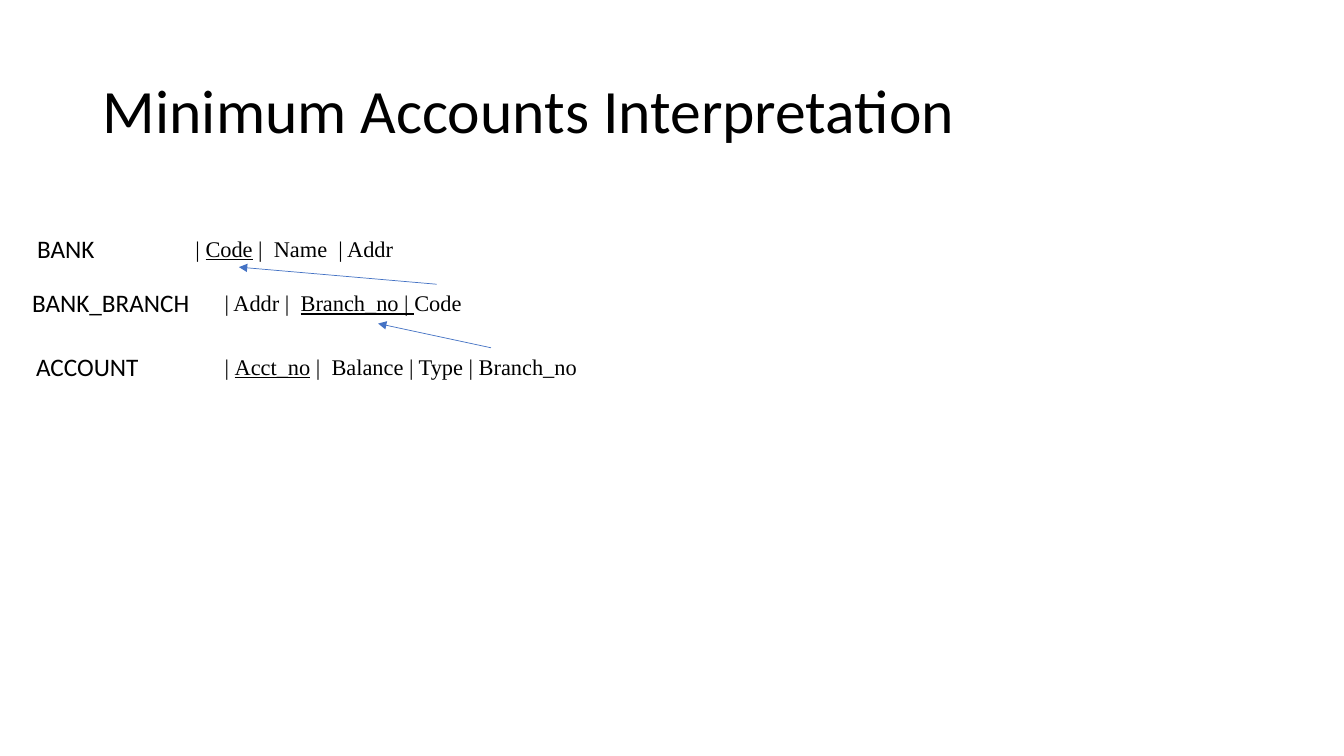
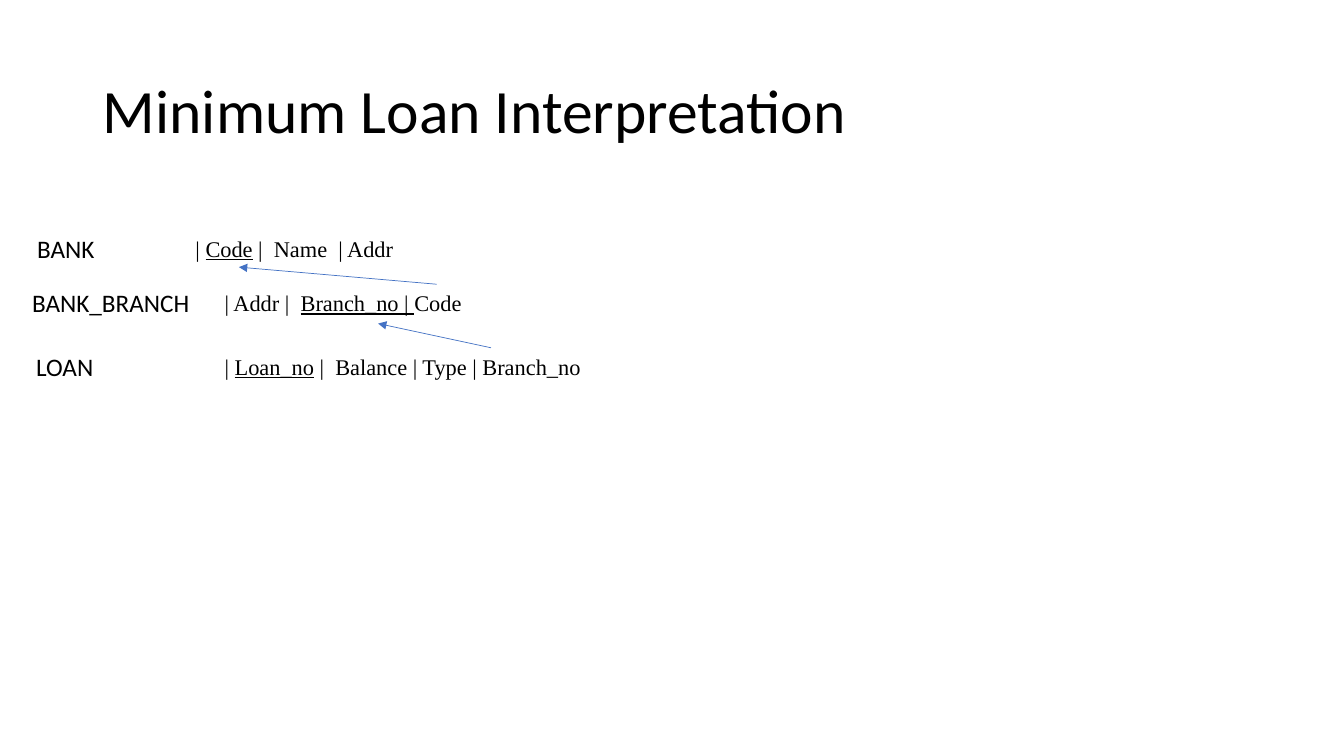
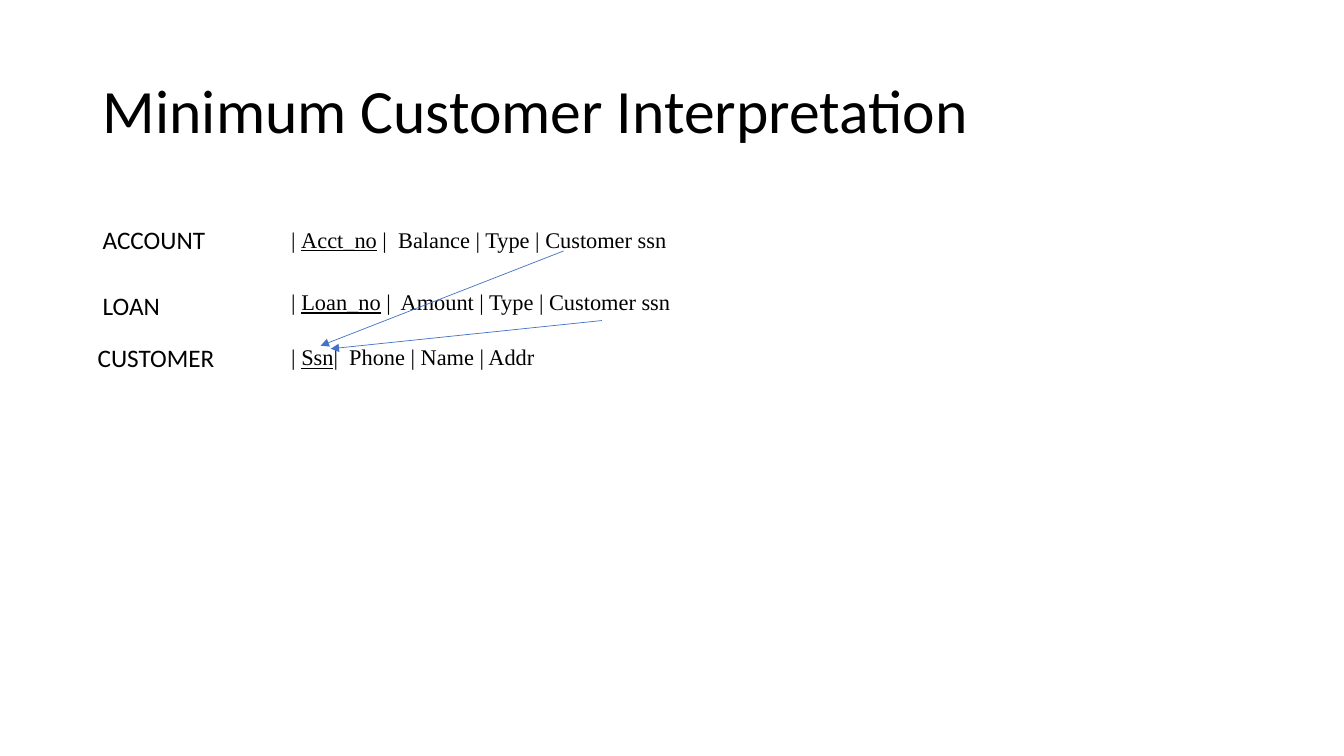
import pptx
import pptx.util
import pptx.dml.color
import pptx.enum.shapes
import pptx.enum.text
import pptx.oxml.ns
from lxml import etree

Inches = pptx.util.Inches
Pt = pptx.util.Pt

COLORS = {"text": "000000", "arrow": "4472C4"}
HEADING_FONT = "Calibri"
ATTRIBUTE_FONT = "Times New Roman"
TITLE_BOX = (0.92, 0.4, 11.5, 1.45)
NAME_HEIGHT = 0.4
ATTRIBUTE_HEIGHT = 0.37


def color(name):
    return pptx.dml.color.RGBColor.from_string(COLORS[name])


def add_run(paragraph, text, *, size, font=HEADING_FONT, underline=False):
    run = paragraph.add_run()
    run.text = text
    run.font.size = Pt(size)
    run.font.name = font
    run.font.underline = underline
    run.font.color.rgb = color("text")


def add_text_box(slide, box, *, wrap):
    """Add a text box that grows with its text; return its paragraph."""
    frame = slide.shapes.add_textbox(*map(Inches, box)).text_frame
    frame.word_wrap = wrap
    frame.auto_size = pptx.enum.text.MSO_AUTO_SIZE.SHAPE_TO_FIT_TEXT
    return frame.paragraphs[0]


def add_title(slide, text):
    title = slide.shapes.title
    title.left, title.top, title.width, title.height = map(Inches, TITLE_BOX)
    frame = title.text_frame
    frame.word_wrap = True
    frame.auto_size = pptx.enum.text.MSO_AUTO_SIZE.NONE
    frame.vertical_anchor = pptx.enum.text.MSO_ANCHOR.MIDDLE
    paragraph = frame.paragraphs[0]
    paragraph.alignment = pptx.enum.text.PP_ALIGN.LEFT
    paragraph.line_spacing = 0.9
    add_run(paragraph, text, size=44)


def add_arrow(slide, start, end):
    connector = slide.shapes.add_connector(
        pptx.enum.shapes.MSO_CONNECTOR.STRAIGHT, *map(Inches, start + end))
    connector.line.color.rgb = color("arrow")
    connector.line.width = Pt(0.5)
    line = connector.line._get_or_add_ln()
    etree.SubElement(line, pptx.oxml.ns.qn("a:tailEnd"), type="triangle")
    properties = connector._element.spPr
    etree.SubElement(properties, pptx.oxml.ns.qn("a:effectLst"))


def add_relation(slide, left, top, name, attributes):
    """Place a relation's name and its attribute list, with the key underlined."""
    name_text, name_x, name_y, name_width = name
    (before, key, after), list_x, list_y, list_width = attributes
    paragraph = add_text_box(
        slide, (left + name_x, top + name_y, name_width, NAME_HEIGHT), wrap=True)
    add_run(paragraph, name_text, size=18)
    paragraph = add_text_box(
        slide, (left + list_x, top + list_y, list_width, ATTRIBUTE_HEIGHT), wrap=False)
    for text, underline in ((before, False), (key, True), (after, False)):
        add_run(paragraph, text, size=16, font=ATTRIBUTE_FONT, underline=underline)


def add_schema(slide, left, top, relations, references):
    """Place relations and the arrows from foreign keys to the keys they refer to."""
    for name, attributes in relations:
        add_relation(slide, left, top, name, attributes)
    for (start_x, start_y), (end_x, end_y) in references:
        add_arrow(slide, (left + start_x, top + start_y), (left + end_x, top + end_y))


def add_schema_slide(presentation, title, left, top, relations, references):
    slide = presentation.slides.add_slide(presentation.slide_layouts[5])
    add_title(slide, title)
    add_schema(slide, left, top, relations, references)


def add_branch_slide(presentation, title, product, key, list_width):
    """Add a slide on a product that is held at a bank branch."""
    relations = [
        (("BANK", 0.05, 0, 1.39),
         (("| ", "Code", " |  Name  | Addr"), 1.62, 0.01, 2.29)),
        (("BANK_BRANCH", 0, 0.53, 2.67),
         (("| Addr |  ", "Branch_no | ", "Code"), 1.91, 0.55, 2.74)),
        ((product, 0.04, 1.17, 2.67),
         (("| ", key, " |  Balance | Type | Branch_no"), 1.91, 1.18, list_width)),
    ]
    references = [((4.11, 0.55), (2.15, 0.38)), ((4.65, 1.18), (3.53, 0.94))]
    add_schema_slide(presentation, title, 0.22, 2.27, relations, references)


def add_customer_slide(presentation):
    relations = [
        (("ACCOUNT", 0.05, 0, 2.67),
         (("| ", "Acct_no", " |  Balance | Type | Customer ssn"), 1.92, 0.01, 3.97)),
        (("LOAN", 0.05, 0.65, 2.67),
         (("| ", "Loan_no", " |  Amount | Type | Customer ssn"), 1.92, 0.63, 4.01)),
        (("CUSTOMER", 0, 1.17, 2.67),
         (("| ", "Ssn", "|  Phone | Name | Addr"), 1.92, 1.18, 2.69)),
    ]
    references = [((4.72, 0.31), (2.31, 1.25)), ((5.1, 1), (2.41, 1.28))]
    add_schema_slide(presentation, "Minimum Customer Interpretation", 0.87, 2.18,
                     relations, references)


def main():
    presentation = pptx.Presentation()
    presentation.slide_width = Inches(13.33)
    presentation.slide_height = Inches(7.5)
    add_branch_slide(presentation, "Minimum Accounts Interpretation",
                     "ACCOUNT", "Acct_no", 3.83)
    add_branch_slide(presentation, "Minimum Loan Interpretation",
                     "LOAN", "Loan_no", 3.84)
    add_customer_slide(presentation)
    presentation.save("out.pptx")


if __name__ == "__main__":
    main()
